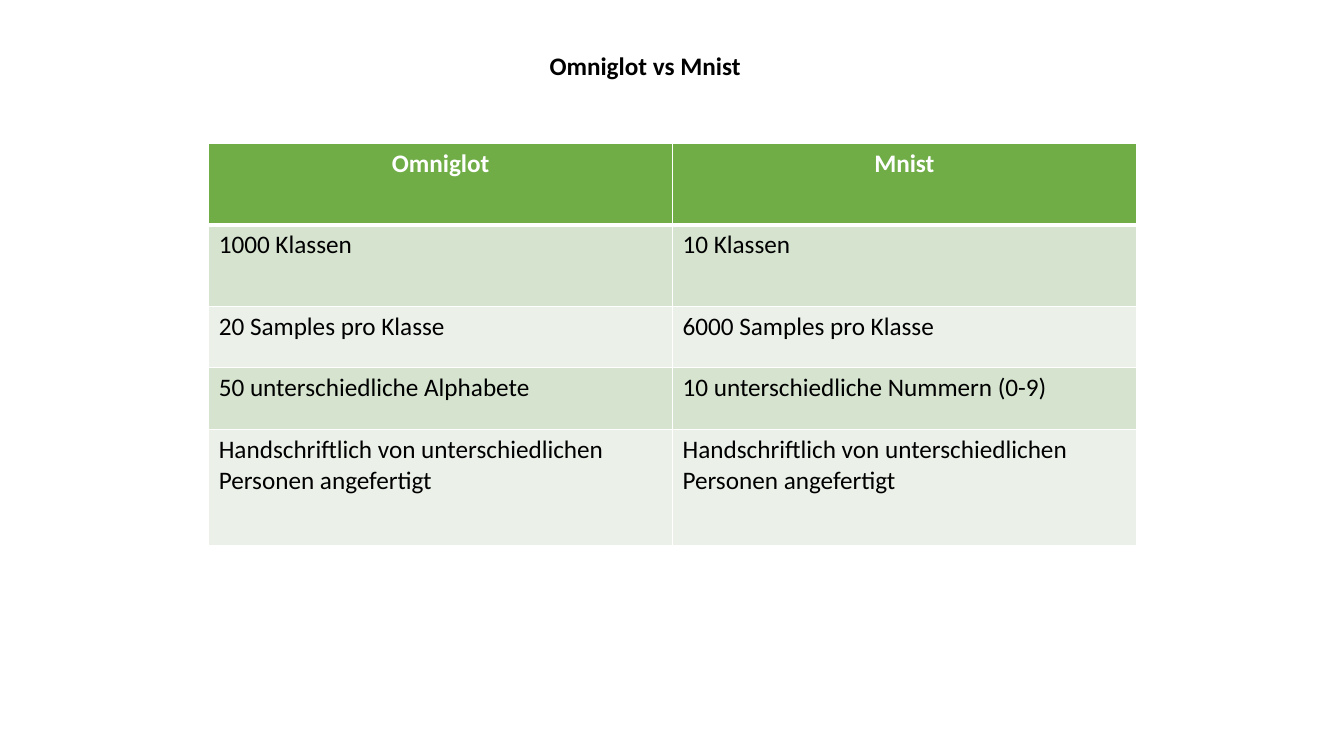
from dataclasses import dataclass

from lxml.etree import SubElement
from pptx import Presentation
from pptx.dml.color import RGBColor as RGB
from pptx.enum.text import MSO_ANCHOR as Anchor, MSO_AUTO_SIZE as AutoSize, PP_ALIGN as Align
from pptx.oxml.ns import qn
from pptx.util import Inches, Pt


@dataclass(frozen=True)
class Theme:
    font: str = "Calibri"
    size: int = 18
    black: str = "000000"
    white: str = "FFFFFF"
    header: str = "70AD47"
    bands: tuple = ("D5E3CF", "EBF1E9")
    thin: int = 1
    thick: int = 3


theme = Theme()


def write(frame, text, color=theme.black, bold=False, align=Align.LEFT):
    paragraph = frame.paragraphs[0]
    paragraph.alignment = align
    run = paragraph.add_run()
    run.text = text
    run.font.name = theme.font
    run.font.size = Pt(theme.size)
    run.font.bold = bold
    run.font.color.rgb = RGB.from_string(color)


def add_borders(cell, top, bottom):
    properties = cell._tc.get_or_add_tcPr()
    widths = {"a:lnL": theme.thin, "a:lnR": theme.thin, "a:lnT": top, "a:lnB": bottom}
    for side, width in widths.items():
        line = SubElement(properties, qn(side), w=str(Pt(width)))
        fill = SubElement(line, qn("a:solidFill"))
        SubElement(fill, qn("a:srgbClr"), val=theme.white)


# Slide
presentation = Presentation()
presentation.slide_width = Inches(13.33)
presentation.slide_height = Inches(7.5)
slide = presentation.slides.add_slide(presentation.slide_layouts[5])

# Title
title = slide.shapes.title
title.left, title.top = Inches(5.35), Inches(0.45)
title.width, title.height = Inches(2.44), Inches(0.4)
title.text_frame.word_wrap = True
title.text_frame.auto_size = AutoSize.SHAPE_TO_FIT_TEXT
title.text_frame.vertical_anchor = Anchor.TOP
write(title.text_frame, "Omniglot vs Mnist", bold=True)

# Comparison of the two datasets
handwritten = "Handschriftlich von unterschiedlichen Personen angefertigt"
comparison = [
    ("Omniglot", "Mnist"),
    ("1000 Klassen", "10 Klassen"),
    ("20 Samples pro Klasse", "6000 Samples pro Klasse"),
    ("50 unterschiedliche Alphabete", "10 unterschiedliche Nummern (0-9)"),
    (handwritten, handwritten),
]
row_heights = [0.81, 0.81, 0.61, 0.61, 1.15]
table = slide.shapes.add_table(
    len(comparison), 2, Inches(2.07), Inches(1.42), Inches(9.2), Inches(sum(row_heights))
).table
for column in table.columns:
    column.width = Inches(4.6)

for row, (features, height) in enumerate(zip(comparison, row_heights)):
    table.rows[row].height = Inches(height)
    is_header = row == 0
    for column, feature in enumerate(features):
        cell = table.cell(row, column)
        add_borders(
            cell,
            top=theme.thick if row == 1 else theme.thin,
            bottom=theme.thick if is_header else theme.thin,
        )
        cell.fill.solid()
        band = theme.header if is_header else theme.bands[(row - 1) % 2]
        cell.fill.fore_color.rgb = RGB.from_string(band)
        write(
            cell.text_frame,
            feature,
            color=theme.white if is_header else theme.black,
            bold=is_header,
            align=Align.CENTER if is_header else Align.LEFT,
        )

presentation.save("out.pptx")
